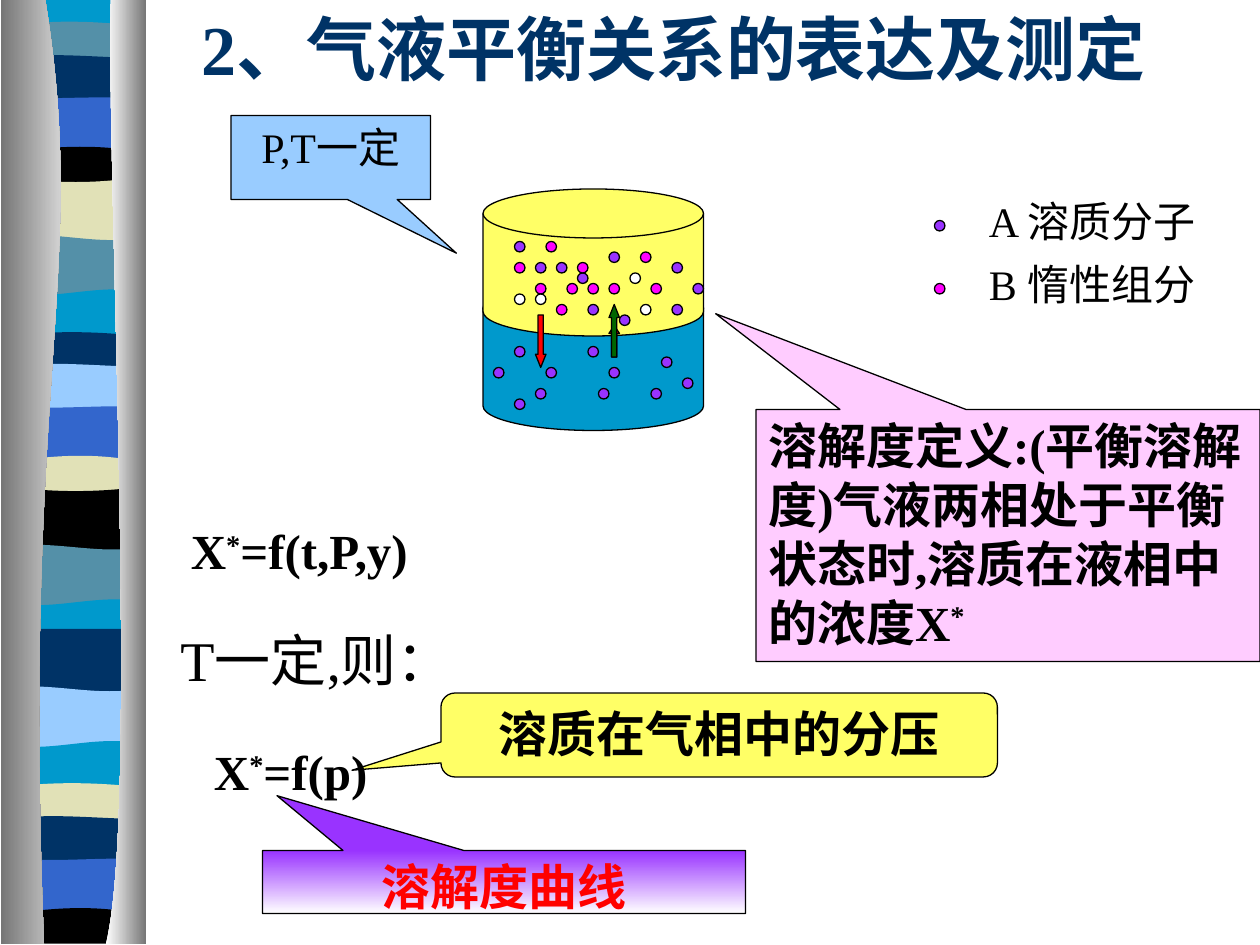
from itertools import pairwise

from lxml.etree import SubElement
from pptx import Presentation
from pptx.dml.color import RGBColor
from pptx.enum.shapes import MSO_SHAPE as Shape
from pptx.enum.text import MSO_ANCHOR as Anchor, MSO_AUTO_SIZE as AutoSize, PP_ALIGN as Align
from pptx.oxml.ns import qn
from pptx.util import Inches, Pt

FONT = "Times New Roman"
BLACK, WHITE = RGBColor(0, 0, 0), RGBColor(255, 255, 255)
NAVY, BLUE = RGBColor(0x00, 0x33, 0x66), RGBColor(0x33, 0x66, 0xCC)
TEAL, SLATE = RGBColor(0x00, 0x99, 0xCC), RGBColor(0x54, 0x90, 0xA8)
SKY, SAND = RGBColor(0x99, 0xCC, 0xFF), RGBColor(0xE1, 0xE1, 0xB7)
YELLOW, PINK = RGBColor(0xFF, 0xFF, 0x66), RGBColor(0xFF, 0xCC, 0xFF)
PURPLE, MAGENTA = RGBColor(0x99, 0x33, 0xFF), RGBColor(0xFF, 0x00, 0xFF)
RED, GREEN, GRAY = RGBColor(255, 0, 0), RGBColor(0, 0x66, 0), RGBColor(0x76, 0x76, 0x76)

WIDTH, HEIGHT = 10, 7.5
CELL = 1 / 12
RIBBON_X = (0.06, 0.42, 0.78, 1.14)

TITLE = "2、气液平衡关系的表达及测定"

BANDS = [
    (TEAL, (0, 0, 0, 0)),
    (SLATE, (0.21, 0.15, 0.17, 0.21)),
    (NAVY, (0.46, 0.41, 0.46, 0.46)),
    (BLUE, (0.77, 0.8, 0.75, 0.79)),
    (BLACK, (1.21, 1.16, 1.14, 1.21)),
    (SAND, (1.4, 1.46, 1.46, 1.4)),
    (SLATE, (1.88, 1.82, 1.96, 1.88)),
    (TEAL, (2.32, 2.4, 2.24, 2.32)),
    (NAVY, (2.67, 2.62, 2.63, 2.67)),
    (SKY, (2.91, 2.86, 2.91, 2.91)),
    (BLUE, (3.22, 3.26, 3.21, 3.23)),
    (SAND, (3.67, 3.61, 3.59, 3.67)),
    (BLACK, (3.86, 3.91, 3.91, 3.86)),
    (SLATE, (4.34, 4.28, 4.41, 4.34)),
    (TEAL, (4.78, 4.86, 4.7, 4.78)),
    (NAVY, (4.99, 4.99, 4.99, 4.99)),
    (SKY, (5.46, 5.41, 5.54, 5.46)),
    (TEAL, (5.91, 5.98, 5.82, 5.91)),
    (SAND, (6.25, 6.2, 6.21, 6.25)),
    (NAVY, (6.5, 6.45, 6.5, 6.5)),
    (BLUE, (6.81, 6.85, 6.8, 6.82)),
    (BLACK, (7.26, 7.2, 7.18, 7.26)),
    (None, (7.49, 7.49, 7.49, 7.49)),
]
SIDES = [
    (0.01, [(0.36, 0), (0.71, 2.16), (0.17, 2.96), (0.35, 7.49)], (GRAY, WHITE)),
    (1.16, [(0.88, 0), (0.84, 1.25), (1.11, 6.46), (0.84, 7.49)], (WHITE, GRAY)),
]

CYLINDERS = [(TEAL, 27), (YELLOW, 18)]
MOLECULES = [
    (PURPLE, [(53, 25), (55, 26), (56, 29), (59, 30), (49, 23), (51, 25), (64, 25),
              (66, 27), (64, 29), (58, 24)]),
    (MAGENTA, [(49, 25), (51, 27), (53, 29), (52, 23), (54, 27), (56, 27), (55, 25),
               (61, 24), (58, 27), (62, 27)]),
    (PURPLE, [(56, 33), (58, 35), (52, 35), (49, 33), (51, 37), (62, 37), (57, 37),
              (63, 34), (65, 36), (47, 35), (49, 38)]),
    (WHITE, [(60, 26), (61, 29), (51, 28), (49, 28)]),
]
ARROWS = [
    (Shape.UP_ARROW, RED, 58, 31, 3, 0.75),
    (Shape.DOWN_ARROW, RED, 51, 30, 5, 1.25),
    (Shape.UP_ARROW, GREEN, 58, 29, 5, 1.25),
]
LEGEND = [(PURPLE, "A 溶质分子", 21), (MAGENTA, "B 惰性组分", 27)]
LEGEND_DOT, LEGEND_TEXT = 89, 93

CALLOUTS = [
    ("溶解度定义:(平衡溶解度)气液两相处于平衡状态时,溶质在液相中的浓度X*", Shape.RECTANGULAR_CALLOUT,
     (72, 39, 48, 24), (-0.58, -0.88), PINK, 28, True, BLACK, Align.LEFT),
    ("P,T一定", Shape.RECTANGULAR_CALLOUT,
     (22, 11, 19, 8), (0.63, 1.14), SKY, 24, False, BLACK, Align.CENTER),
    ("溶质在气相中的分压", Shape.ROUNDED_RECTANGULAR_CALLOUT,
     (42, 66, 53, 8), (-0.66, 0.42), YELLOW, 28, True, BLACK, Align.CENTER),
    ("溶解度曲线", Shape.RECTANGULAR_CALLOUT,
     (25, 81, 46, 6), (-0.47, -1.37), (PURPLE, WHITE), 28, True, RED, Align.CENTER),
]
FORMULAS = [
    ("X*=f(t,P,y)", (17, 49, 46, 6.8), 28, True),
    ("T一定,则：", (16, 59, 40, 7.7), 32, False),
    ("X*=f(p)", (19.2, 70, 17, 6.8), 28, True),
]


def paint(shape, fill, angle=0):
    shape.shadow.inherit = False
    if isinstance(fill, RGBColor):
        shape.fill.solid()
        shape.fill.fore_color.rgb = fill
        return
    shape.fill.gradient()
    shape.fill.gradient_angle = angle
    for stop, color in zip(shape.fill.gradient_stops, fill):
        stop.color.rgb = color


def add_curtain(slide, master, curve, corners, fill):
    start, *rest = [(Inches(x), Inches(y)) for x, y in [*curve, *corners]]
    builder = slide.shapes.build_freeform(*start)
    builder.add_line_segments(rest)
    shape = builder.convert_to_shape()
    paint(shape, fill)
    shape.line.fill.background()
    first, *others = list(shape.element.iter(qn("a:lnTo")))[:3]
    bend = SubElement(first.getparent(), qn("a:cubicBezTo"))
    first.addprevious(bend)
    for line in (first, *others):
        bend.append(line[0])
        line.getparent().remove(line)
    master.shapes.element.append(shape.element)


def cells(*lengths):
    return [Inches(n * CELL) for n in lengths]


def add_preset(slide, kind, box, fill, adjustments=()):
    shape = slide.shapes.add_shape(kind, *cells(*box))
    paint(shape, fill, 270)
    shape.line.color.rgb = BLACK
    shape.line.width = Pt(0.75)
    for i, value in enumerate(adjustments):
        shape.adjustments[i] = value
    return shape


def write(frame, text, size, bold, color=BLACK, align=Align.LEFT, anchor=Anchor.TOP):
    frame.word_wrap = True
    frame.auto_size = AutoSize.NONE
    frame.vertical_anchor = anchor
    paragraph = frame.paragraphs[0]
    paragraph.alignment = align
    for part in filter(None, text.partition("*")):
        run = paragraph.add_run()
        run.text = part
        run.font.name, run.font.size, run.font.bold = FONT, Pt(size), bold
        run.font.color.rgb = color
        if part == "*":
            run.font._element.set("baseline", "30000")


def add_label(slide, text, box, size, bold):
    write(slide.shapes.add_textbox(*cells(*box)).text_frame, text, size, bold)


def main():
    deck = Presentation()
    deck.slide_width, deck.slide_height = Inches(WIDTH), Inches(HEIGHT)
    slide = deck.slides.add_slide(deck.slide_layouts[5])
    master = deck.slide_master

    title = slide.shapes.title
    title.left, title.top, title.width, title.height = cells(18, 0, 102, 9)
    write(title.text_frame, TITLE, 40, True, NAVY, anchor=Anchor.MIDDLE)

    for (color, top), (_, below) in pairwise(BANDS):
        bottom = max(below)
        corners = [(RIBBON_X[-1], bottom), (RIBBON_X[0], bottom)]
        add_curtain(slide, master, zip(RIBBON_X, top), corners, color)
    for outer, curve, fill in SIDES:
        add_curtain(slide, master, curve, [(outer, 7.49), (outer, 0)], fill)

    for color, row in CYLINDERS:
        add_preset(slide, Shape.FLOWCHART_MAGNETIC_DISK, (46, row, 21, 14), color)
    for color, spots in MOLECULES:
        for column, row in spots:
            add_preset(slide, Shape.OVAL, (column, row, 1, 1), color)
    for kind, color, column, row, length, head in ARROWS:
        add_preset(slide, kind, (column, row, 1, length), color, (0.5, head))

    for color, text, row in LEGEND:
        add_preset(slide, Shape.OVAL, (LEGEND_DOT, row, 1, 1), color)
        add_label(slide, text, (LEGEND_TEXT, row - 3, 27, 6), 24, False)

    for text, kind, box, tip, fill, size, bold, color, align in CALLOUTS:
        callout = add_preset(slide, kind, box, fill, tip)
        write(callout.text_frame, text, size, bold, color, align)
    for formula in FORMULAS:
        add_label(slide, *formula)

    deck.save("out.pptx")


if __name__ == "__main__":
    main()
